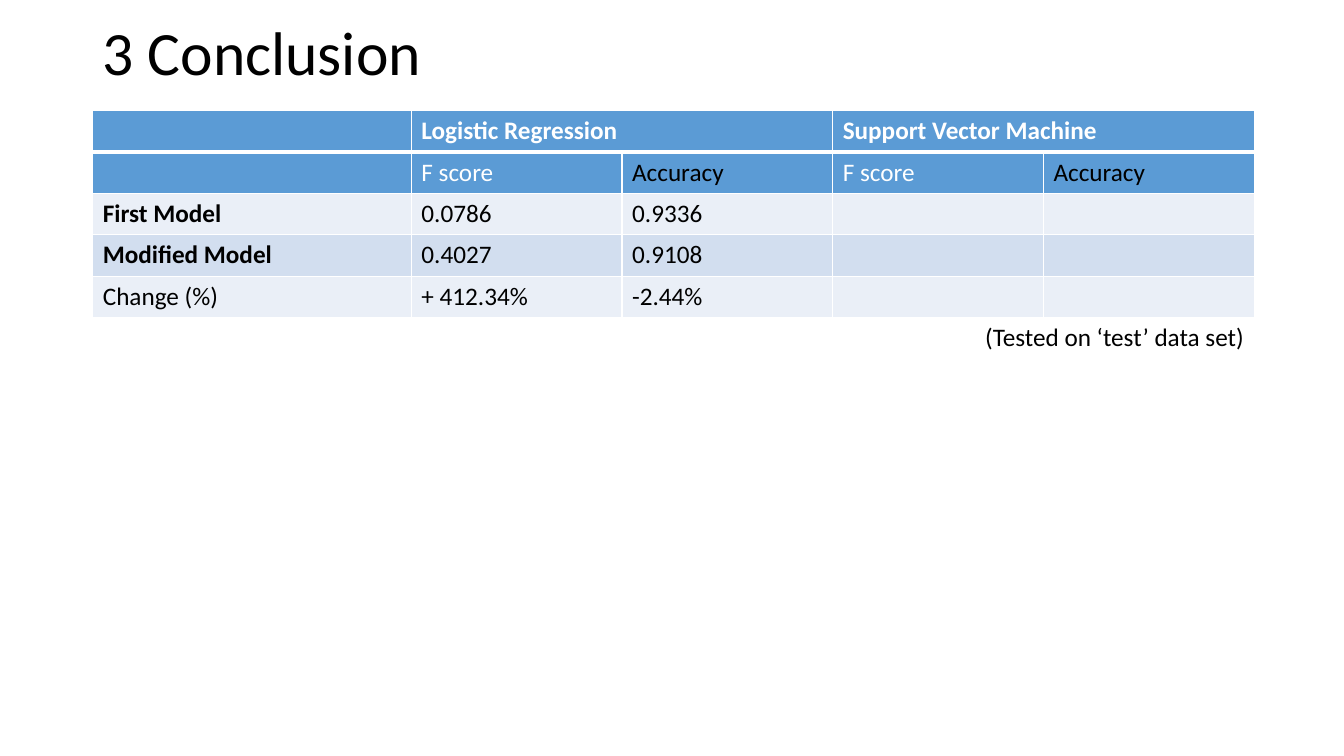
"""Builds the conclusion slide with its table of model scores."""
from lxml.etree import SubElement
from pptx import Presentation
from pptx.dml.color import RGBColor
from pptx.enum.text import MSO_ANCHOR as ANCHOR, PP_ALIGN as ALIGN
from pptx.oxml.ns import qn
from pptx.util import Inches, Pt

WHITE, BLACK, BLUE = "FFFFFF", "000000", "5B9BD5"
ROW_FILLS = [BLUE, BLUE, "EAEFF7", "D2DEEF", "EAEFF7", None]
COL_WIDTHS = [3.16] + [2.09] * 4
ROW_HEIGHT = 0.41
SCORES = [
    ["", "Logistic Regression", "", "Support Vector Machine", ""],
    ["", "F score", "Accuracy", "F score", "Accuracy"],
    ["First Model", "0.0786", "0.9336", "", ""],
    ["Modified Model", "0.4027", "0.9108", "", ""],
    ["Change (%)", "+ 412.34%", "-2.44%", "", ""],
    ["", "", "", "(Tested on ‘test’ data set)", ""],
]
MERGES = [(0, 1), (0, 3), (5, 3)]
BOLD = {"Logistic Regression", "Support Vector Machine", "First Model", "Modified Model"}


def rgb(color):
    """Turn a hex string into a colour."""
    return RGBColor.from_string(color)


def write(tf, text, size=18, color=BLACK, bold=False, align=ALIGN.LEFT, spacing=None):
    """Write one formatted paragraph into a text frame."""
    p = tf.paragraphs[0]
    p.alignment = align
    p.line_spacing = spacing
    r = p.add_run()
    r.text = text
    r.font.name = "Calibri"
    r.font.size = Pt(size)
    r.font.bold = bold
    r.font.color.rgb = rgb(color)


def add_title(s, text):
    """Add the slide title."""
    sp = s.shapes.add_textbox(Inches(0.92), Inches(0.14), Inches(11.5), Inches(0.82))
    tf = sp.text_frame
    tf.word_wrap = True
    tf.vertical_anchor = ANCHOR.MIDDLE
    write(tf, text, size=44, spacing=0.9)


def set_borders(cell, top=1, bottom=1):
    """Give a cell white borders, with widths in points."""
    tcPr = cell._tc.get_or_add_tcPr()
    for side, width in (("L", 1), ("R", 1), ("T", top), ("B", bottom)):
        ln = SubElement(tcPr, qn(f"a:ln{side}"), w=str(Pt(width)))
        fill = SubElement(ln, qn("a:solidFill"))
        SubElement(fill, qn("a:srgbClr"), val=WHITE)


def set_fill(cell, color):
    """Fill a cell, or leave it clear when there is no colour."""
    if color:
        cell.fill.solid()
        cell.fill.fore_color.rgb = rgb(color)
    else:
        cell.fill.background()


def add_scores(s):
    """Add the table of scores."""
    rows, cols = len(SCORES), len(COL_WIDTHS)
    table = s.shapes.add_table(rows, cols, Inches(0.92), Inches(1.1),
                               Inches(sum(COL_WIDTHS)), Inches(rows * ROW_HEIGHT)).table
    for col, width in zip(table.columns, COL_WIDTHS):
        col.width = Inches(width)
    for i, values in enumerate(SCORES):
        table.rows[i].height = Inches(ROW_HEIGHT)
        for j, text in enumerate(values):
            cell = table.cell(i, j)
            set_borders(cell, top=3 if i == 1 else 1, bottom=3 if i == 0 else 1)
            set_fill(cell, ROW_FILLS[i])
            if text:
                on_blue = i == 0 or text == "F score"
                write(cell.text_frame, text, color=WHITE if on_blue else BLACK,
                      bold=text in BOLD,
                      align=ALIGN.RIGHT if i == rows - 1 else ALIGN.LEFT)
    for i, j in MERGES:
        table.cell(i, j).merge(table.cell(i, j + 1))


def main():
    """Build and save the slide."""
    prs = Presentation()
    prs.slide_width, prs.slide_height = Inches(13.33), Inches(7.5)
    s = prs.slides.add_slide(prs.slide_layouts[6])
    add_title(s, "3 Conclusion")
    add_scores(s)
    prs.save("out.pptx")


if __name__ == "__main__":
    main()
